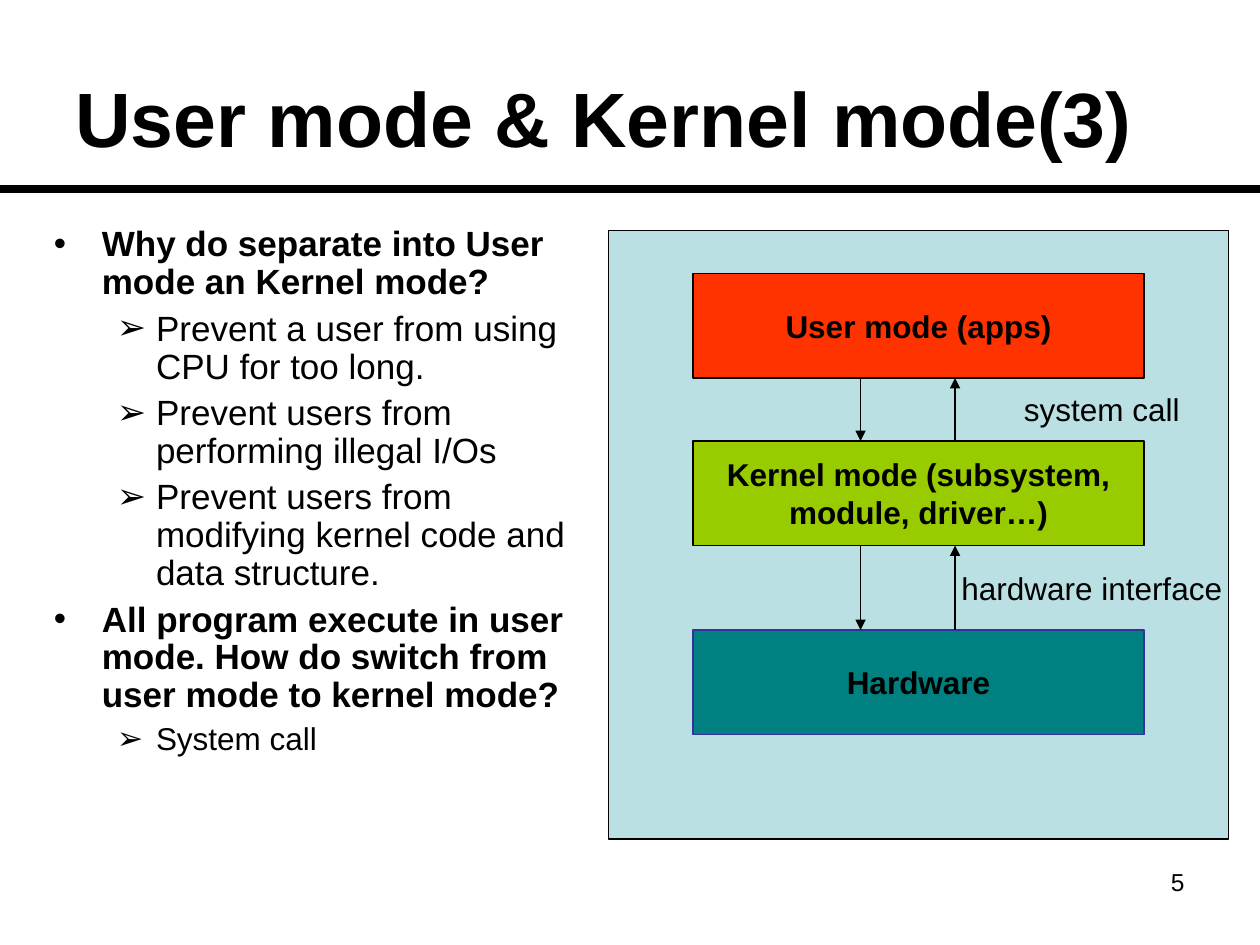
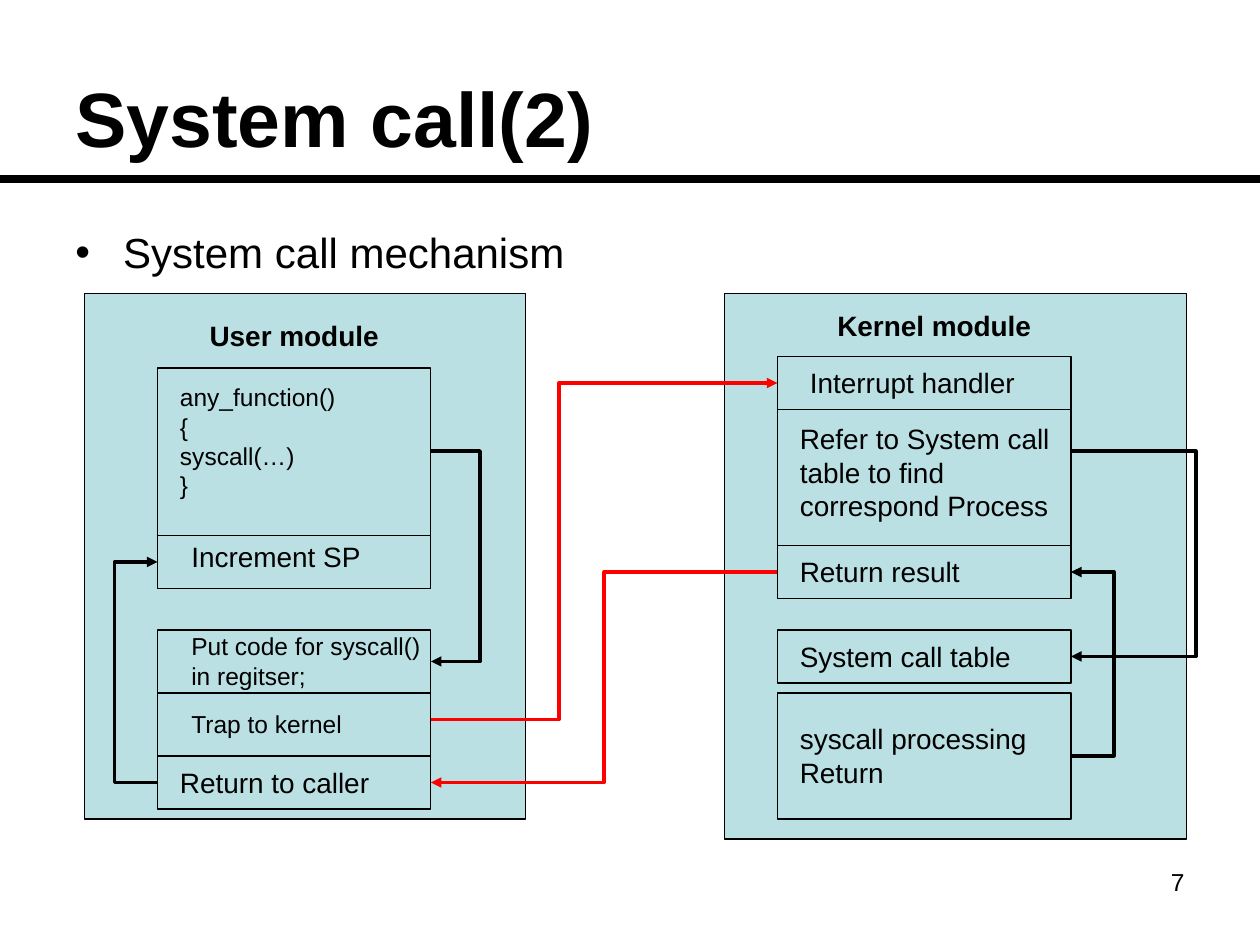
from lxml import etree
from pptx import Presentation
from pptx.dml.color import RGBColor
from pptx.enum import shapes, text
from pptx.oxml.ns import qn
from pptx.util import Inches, Pt

COLORS = {
    "ink": "000000",
    "panel": "BBE0E3",
    "user": "FF3300",
    "kernel": "99CC00",
    "hardware": "008080",
    "hardware_edge": "333399",
    "trap": "FF0000",
}
FONT = "Arial"
LEFT, CENTER, RIGHT = text.PP_ALIGN.LEFT, text.PP_ALIGN.CENTER, text.PP_ALIGN.RIGHT


def color(name):
    return RGBColor.from_string(COLORS[name])


def style_font(para, size, bold=False):
    para.font.name = FONT
    para.font.size = Pt(size)
    para.font.bold = bold
    para.font.color.rgb = color("ink")


def write_lines(frame, lines, size, bold=False, align=LEFT):
    """Put each line in its own paragraph, all in one style."""
    for index, line in enumerate(lines):
        para = frame.paragraphs[0] if index == 0 else frame.add_paragraph()
        para.text = line
        para.alignment = align
        style_font(para, size, bold)


def add_text(page, box, lines, size, bold=False, align=LEFT,
             anchor=text.MSO_ANCHOR.TOP):
    frame = page.shapes.add_textbox(*map(Inches, box)).text_frame
    frame.word_wrap = True
    frame.vertical_anchor = anchor
    write_lines(frame, lines, size, bold, align)


def add_box(page, box, fill="panel", edge="ink", lines=(), size=18,
            bold=False, align=CENTER):
    shape = page.shapes.add_shape(shapes.MSO_SHAPE.RECTANGLE, *map(Inches, box))
    shape.shadow.inherit = False
    shape.fill.solid()
    shape.fill.fore_color.rgb = color(fill)
    shape.line.color.rgb = color(edge)
    shape.line.width = Pt(0.75)
    frame = shape.text_frame
    frame.word_wrap = False
    frame.vertical_anchor = text.MSO_ANCHOR.MIDDLE
    write_lines(frame, lines, size, bold, align)


def add_label(page, box, lines, size, bold=False, align=LEFT):
    """Add text whose backing blends into the panel."""
    add_box(page, box, "panel", "panel", lines, size, bold, align)


def style_line(shape, width, ink="ink", arrow=True):
    shape.line.color.rgb = color(ink)
    shape.line.width = Pt(width)
    if arrow:
        etree.SubElement(shape.line._get_or_add_ln(), qn("a:tailEnd"), type="triangle")


def add_link(page, start, end, width, ink="ink", arrow=True, bend=None):
    """Join two points, straight or with an elbow at the share `bend`."""
    kind = shapes.MSO_CONNECTOR.STRAIGHT if bend is None else shapes.MSO_CONNECTOR.ELBOW
    link = page.shapes.add_connector(kind, *map(Inches, (*start, *end)))
    style_line(link, width, ink, arrow)
    properties = link._element.spPr
    etree.SubElement(properties, qn("a:effectLst"))
    if bend is not None:
        guides = properties.find(qn("a:prstGeom")).find(qn("a:avLst"))
        etree.SubElement(guides, qn("a:gd"), name="adj1",
                         fmla=f"val {round(bend * 100000)}")


def add_loop(page, edge, start, end, reach):
    """Draw an arrow that leaves and re-enters the same vertical edge."""
    corners = [(edge + reach, start), (edge + reach, end), (edge, end)]
    builder = page.shapes.build_freeform(Inches(edge), Inches(start))
    builder.add_line_segments(
        [(Inches(x), Inches(y)) for x, y in corners], close=False)
    loop = builder.convert_to_shape()
    loop.shadow.inherit = False
    loop.fill.background()
    style_line(loop, 2)


def add_page(deck, title, number, rule_top):
    page = deck.slides.add_slide(deck.slide_layouts[6])
    add_text(page, (0.5, 0.3, 9, 1.25), [title], 44, True,
             anchor=text.MSO_ANCHOR.MIDDLE)
    add_link(page, (0, rule_top), (10, rule_top), 4.5, arrow=False)
    add_text(page, (7.17, 6.83, 2.33, 0.52), [str(number)], 14, align=RIGHT)
    return page


def add_bullets(page, box, items, spacing):
    """Write (level, text, size, bold) items with hanging bullets."""
    frame = page.shapes.add_textbox(*map(Inches, box)).text_frame
    frame.word_wrap = True
    for index, (level, words, size, bold) in enumerate(items):
        para = frame.paragraphs[0] if index == 0 else frame.add_paragraph()
        para.text = words
        margin, hang, mark = ((0.38, 0.38, "•"), (0.81, 0.31, "➢"))[level]
        properties = para._p.get_or_add_pPr()
        properties.set("marL", str(Inches(margin)))
        properties.set("indent", str(-Inches(hang)))
        etree.SubElement(properties, qn("a:buFont"), typeface=FONT)
        etree.SubElement(properties, qn("a:buChar"), char=mark)
        para.level = level
        para.line_spacing = spacing
        para.space_before = Pt(size / 4)
        style_font(para, size, bold)


def draw_layers(page, box):
    """Show user mode, kernel mode and hardware as stacked layers."""
    left, top, _, _ = box
    add_box(page, box)
    height = 0.83
    layers = [
        (0.34, "user", "ink", ["User mode (apps)"]),
        (1.67, "kernel", "ink", ["Kernel mode (subsystem,", "module, driver…)"]),
        (3.17, "hardware", "hardware_edge", ["Hardware"]),
    ]
    for offset, fill, edge, lines in layers:
        add_box(page, (left + 0.67, top + offset, 3.58, height),
                fill, edge, lines, 18, True)
    for upper, lower in zip(layers, layers[1:]):
        above, below = top + upper[0] + height, top + lower[0]
        add_link(page, (left + 2, above), (left + 2, below), 0.75)
        add_link(page, (left + 2.75, below), (left + 2.75, above), 0.75)
    add_label(page, (left + 3.25, top + 1.25, 1.33, 0.33),
              ["system call"], 18, align=CENTER)
    add_label(page, (left + 2.92, top + 2.67, 1.83, 0.33),
              ["hardware interface"], 18, align=CENTER)


def draw_module(page, box, title, title_top, inset, row_width, rows):
    """Draw a panel of rows: (top, height, label indent, label size, points, lines)."""
    left, top, _, _ = box
    add_box(page, box)
    add_label(page, (left + 0.58, top + title_top, 2.17, 0.33),
              [title], 16, True, CENTER)
    for row_top, height, indent, label_size, points, lines in rows:
        x, y = left + inset, top + row_top
        add_box(page, (x, y, row_width, height))
        add_label(page, (x + indent, y + 0.08, *label_size), lines, points)


def draw_call_flow(page, user_edges, kernel_edges):
    user_left, user_right = user_edges
    kernel_left, kernel_right = kernel_edges
    add_loop(page, user_right, 3.58, 5.25, 0.39)
    add_loop(page, user_left, 6.21, 4.46, -0.34)
    add_loop(page, kernel_right, 3.58, 5.21, 0.99)
    add_loop(page, kernel_right, 6, 4.54, 0.34)
    add_link(page, (user_right, 5.71), (kernel_left, 3.04), 2, "trap", bend=0.37)
    add_link(page, (kernel_left, 4.54), (user_right, 6.21), 2, "trap", bend=0.5)


def build_modes_page(deck):
    page = add_page(deck, "User mode & Kernel mode(3)", 5, 1.5)
    add_bullets(page, (0.33, 1.75, 4.42, 4.95), [
        (0, "Why do separate into User mode an Kernel mode?", 20, True),
        (1, "Prevent a user from using CPU for too long.", 20, False),
        (1, "Prevent users from performing illegal I/Os", 20, False),
        (1, "Prevent users from modifying kernel code and data structure.", 20, False),
        (0, "All program execute in user mode. How do switch from user mode "
            "to kernel mode?", 20, True),
        (1, "System call", 18, False),
    ], 0.9)
    draw_layers(page, (4.83, 1.83, 4.92, 4.83))


def build_call_page(deck):
    page = add_page(deck, "System call(2)", 7, 1.42)
    add_bullets(page, (0.5, 1.75, 9, 4.95),
                [(0, "System call mechanism", 24, False)], 1.0)
    draw_module(page, (0.67, 2.33, 3.5, 4.17), "User module", 0.17, 0.58, 2.17, [
        (0.59, 1.33, 0.08, (1.92, 1), 14,
         ["any_function()", "{", "syscall(…)", "}"]),
        (1.92, 0.42, 0.17, (1.92, 0.17), 16, ["Increment SP"]),
        (2.67, 0.5, 0.17, (1.83, 0.33), 14,
         ["Put code for syscall()", "in regitser;"]),
        (3.17, 0.5, 0.17, (1.92, 0.33), 14, ["Trap to kernel"]),
        (3.67, 0.42, 0.08, (2, 0.25), 16, ["Return to caller"]),
    ])
    draw_module(page, (5.75, 2.33, 3.67, 4.33), "Kernel module", 0.09, 0.42, 2.33, [
        (0.5, 0.42, 0.16, (2, 0.25), 16, ["Interrupt handler"]),
        (0.92, 1.08, 0.08, (2.17, 0.83), 16,
         ["Refer to System call", "table to find", "correspond Process"]),
        (2, 0.42, 0.08, (2, 0.25), 16, ["Return result"]),
        (2.67, 0.42, 0.08, (2, 0.25), 16, ["System call table"]),
        (3.17, 1, 0.08, (2, 0.83), 16, ["syscall processing", "Return"]),
    ])
    draw_call_flow(page, (1.25, 3.42), (6.17, 8.5))


def main():
    deck = Presentation()
    deck.slide_width, deck.slide_height = Inches(10), Inches(7.5)
    build_modes_page(deck)
    build_call_page(deck)
    deck.save("out.pptx")


if __name__ == "__main__":
    main()
